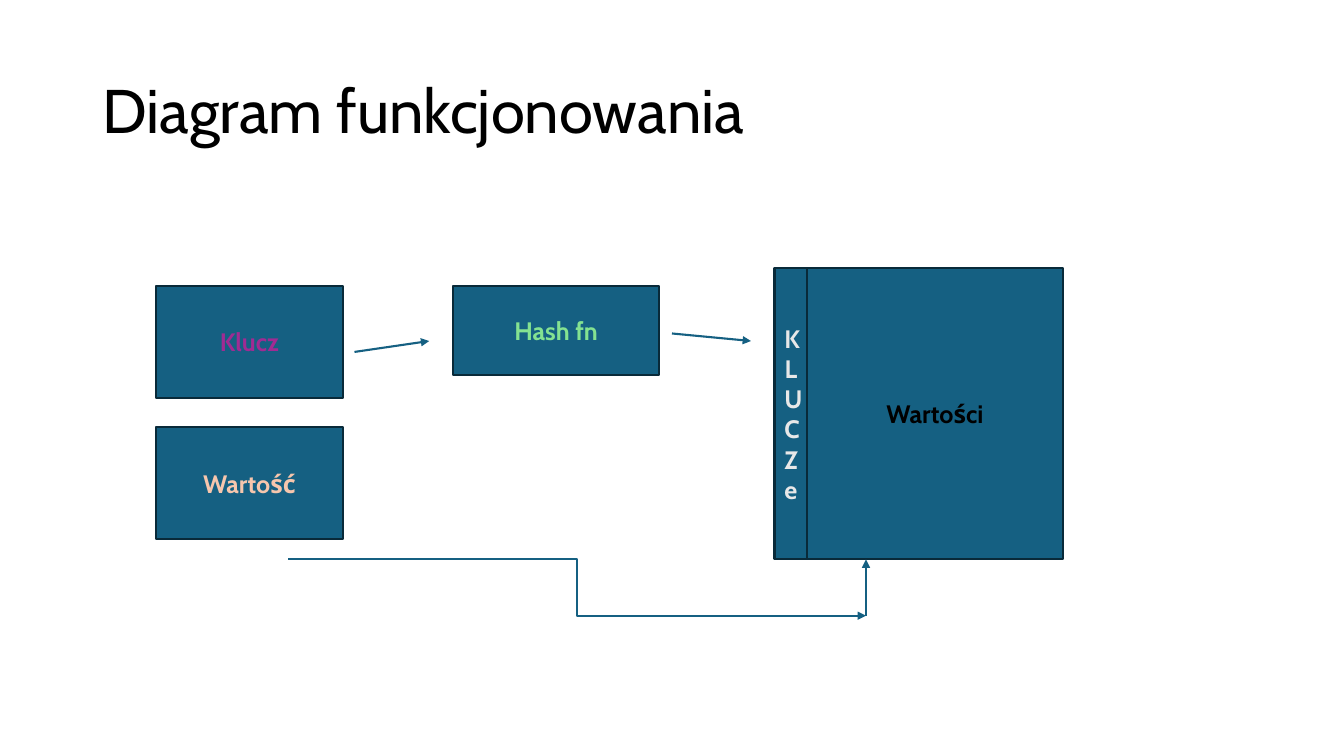
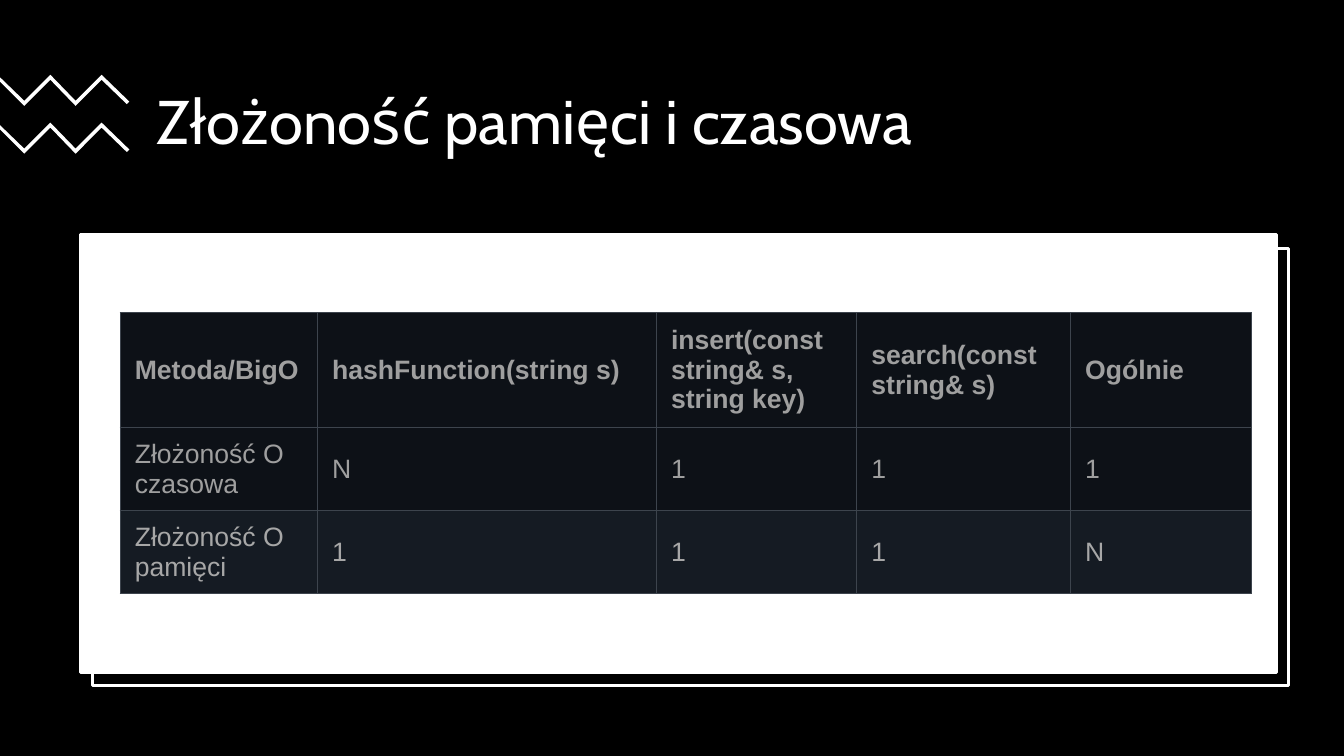
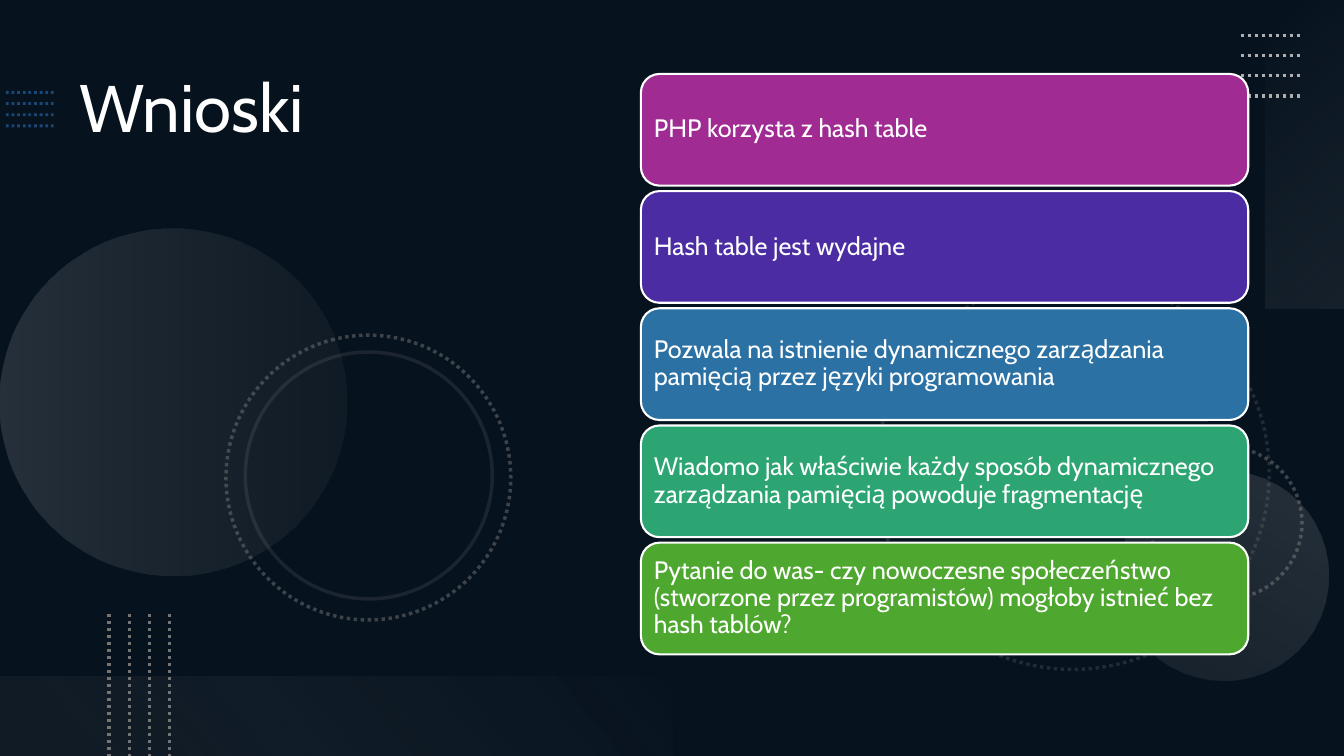
import lxml.etree
import pptx
import pptx.dml.color
import pptx.enum.dml
import pptx.enum.shapes
import pptx.enum.text
import pptx.oxml.ns
import pptx.util

SHAPES = pptx.enum.shapes.MSO_SHAPE
CONNECTORS = pptx.enum.shapes.MSO_CONNECTOR
ANCHORS = pptx.enum.text.MSO_ANCHOR
ALIGNS = pptx.enum.text.PP_ALIGN
DOTTED = pptx.enum.dml.MSO_LINE.ROUND_DOT
qn = pptx.oxml.ns.qn

COLORS = {
    "black": "000000", "white": "FFFFFF", "navy": "0E2841",
    "teal": "156082", "dark teal": "092A39", "plum": "A02B93",
    "peach": "F6C6AD", "lime": "84E291", "pale": "E8E8E8",
    "grid": "3D444D", "header": "0D1117", "stripe": "151B23",
    "cell text": "9F9F9F", "stripe text": "A7A7A7",
    "sky": "2D7FCF", "gray": "747474", "silver": "AEAEAE", "mist": "F6F6F6",
    "violet": "4B2CA2", "blue": "2C71A4", "mint": "2DA573", "green": "4EA72E",
}


def color(name):
    return pptx.dml.color.RGBColor.from_string(COLORS[name])


def child(parent, tag, **attributes):
    return lxml.etree.SubElement(parent, qn(tag), attributes)


def set_alpha(element, percent):
    """Make the first colour inside the element partly transparent."""
    if percent < 100:
        child(element.find(".//" + qn("a:srgbClr")), "a:alpha", val=str(percent * 1000))


class Painter:
    """Draws on the current slide; lengths are cells of a 160 by 90 grid."""
    columns, rows = 160, 90
    font, title_size, body_size = "Cabin", 44, 18

    def __init__(self):
        self.deck = pptx.Presentation()
        self.deck.slide_width = pptx.util.Inches(13.333)
        self.deck.slide_height = pptx.util.Inches(7.5)
        self.page = None

    def new_page(self, background):
        self.page = self.deck.slides.add_slide(self.deck.slide_layouts[6])
        self.page.background.fill.solid()
        self.page.background.fill.fore_color.rgb = color(background)

    def length(self, cells):
        return round(cells * self.deck.slide_height / self.rows)

    def place(self, *cells):
        return [self.length(cell) for cell in cells]

    # Text
    def add_text(self, frame, lines, size, ink, bold=False, font=None,
                 align=ALIGNS.LEFT, spacing=None, tracking=0):
        frame.word_wrap = True
        for index, line in enumerate(lines):
            para = frame.paragraphs[0] if index == 0 else frame.add_paragraph()
            para.alignment = align
            if spacing:
                para.line_spacing = spacing
            span = para.add_run()
            span.text = line
            span.font.name = font or self.font
            span.font.size = pptx.util.Pt(size)
            span.font.bold = bold
            span.font.color.rgb = color(ink)
            if tracking:
                span.font._element.set("spc", str(tracking))

    def title(self, text, at, ink="black", size=title_size, anchor=ANCHORS.MIDDLE):
        box = self.page.shapes.add_textbox(*self.place(*at))
        box.text_frame.vertical_anchor = anchor
        self.add_text(box.text_frame, [text], size, ink, spacing=0.9)

    # Shapes
    def outline(self, line, ink, width, dash=None):
        line.color.rgb = color(ink)
        line.width = pptx.util.Pt(width)
        if dash:
            line.dash_style = dash

    def shape(self, at, fill=None, alpha=100, edge=None, width=1.5, dash=None,
              edge_alpha=100, kind=SHAPES.RECTANGLE, turn=0):
        box = self.page.shapes.add_shape(kind, *self.place(*at))
        box.shadow.inherit = False
        box.rotation = turn
        if fill:
            box.fill.solid()
            box.fill.fore_color.rgb = color(fill)
            set_alpha(box._element.spPr, alpha)
        else:
            box.fill.background()
        if edge:
            self.outline(box.line, edge, width, dash)
            set_alpha(box._element.spPr.find(qn("a:ln")), edge_alpha)
        else:
            box.line.fill.background()
        return box

    def gradient(self, at, stops, angle, **options):
        """Stops are (position, colour, opacity), with shares in percent."""
        box = self.shape(at, **options)
        properties = box._element.spPr
        blend = lxml.etree.Element(qn("a:gradFill"), rotWithShape="1")
        stop_list = child(blend, "a:gsLst")
        for position, ink, alpha in stops:
            stop = child(stop_list, "a:gs", pos=str(position * 1000))
            child(stop, "a:srgbClr", val=COLORS[ink])
            set_alpha(stop, alpha)
        child(blend, "a:lin", ang=str(angle * 60000), scaled="0")
        properties.replace(properties.find(qn("a:noFill")), blend)

    def block(self, at, lines, ink, **options):
        box = self.shape(at, fill="teal", edge="dark teal")
        box.text_frame.vertical_anchor = ANCHORS.MIDDLE
        self.add_text(box.text_frame, lines, self.body_size, ink, bold=True,
                      align=ALIGNS.CENTER, **options)

    def card(self, at, text, fill):
        box = self.shape(at, fill=fill, edge="white", kind=SHAPES.ROUNDED_RECTANGLE)
        frame = box.text_frame
        # The rounded corners add their own inset to the text area
        frame.margin_left = frame.margin_right = self.length(0.9)
        frame.vertical_anchor = ANCHORS.MIDDLE
        self.add_text(frame, [text], self.body_size, "white", spacing=0.9)

    def outline_shape(self, points, fill):
        start, *others = [self.place(*point) for point in points]
        builder = self.page.shapes.build_freeform(*start)
        builder.add_line_segments(others, close=True)
        form = builder.convert_to_shape()
        form.shadow.inherit = False
        form.fill.solid()
        form.fill.fore_color.rgb = color(fill)
        form.line.fill.background()

    # Lines
    def line(self, start, end, ink, width=1.5, dash=None, alpha=100,
             arrow=False, kind=CONNECTORS.STRAIGHT):
        link = self.page.shapes.add_connector(kind, *self.place(*start, *end))
        self.outline(link.line, ink, width, dash)
        properties = link._element.spPr
        stroke = properties.find(qn("a:ln"))
        set_alpha(stroke, alpha)
        if arrow:
            child(stroke, "a:tailEnd", type="triangle")
        child(properties, "a:effectLst")

    def dotted_lines(self, start, end, step, ink, width=2.5, alpha=100, count=4):
        for index in range(count):
            dx, dy = step[0] * index, step[1] * index
            self.line((start[0] + dx, start[1] + dy), (end[0] + dx, end[1] + dy),
                      ink, width, DOTTED, alpha)

    # Table
    def table(self, left, top, widths, heights, content, styles):
        """Each row has a style: fill, ink, bold."""
        frame = self.page.shapes.add_table(
            len(heights), len(widths), *self.place(left, top, sum(widths), sum(heights)))
        grid = frame.table
        grid.first_row = grid.horz_banding = False
        for column, width in zip(grid.columns, widths):
            column.width = self.length(width)
        for row, height, texts, style in zip(grid.rows, heights, content, styles):
            row.height = self.length(height)
            for cell, text in zip(row.cells, texts):
                self.fill_cell(cell, text, *style)

    def fill_cell(self, cell, text, fill, ink, bold):
        cell.margin_left = cell.margin_right = self.length(1.75)
        cell.margin_top = cell.margin_bottom = self.length(0.8)
        cell.vertical_anchor = ANCHORS.MIDDLE
        self.add_text(cell.text_frame, [text], 19, ink, bold, font="Arial")
        properties = cell._tc.get_or_add_tcPr()
        for side in ("a:lnL", "a:lnR", "a:lnT", "a:lnB"):
            border = child(properties, side, w=str(int(pptx.util.Pt(0.83))))
            child(child(border, "a:solidFill"), "a:srgbClr", val=COLORS["grid"])
        cell.fill.solid()
        cell.fill.fore_color.rgb = color(fill)


def diagram_page(painter):
    painter.new_page("white")
    painter.title("Diagram funkcjonowania", (11, 4.8, 138, 17.4))

    # Inputs, hash function and the stored table
    for index, (text, ink) in enumerate([("Klucz", "plum"), ("Wartość", "peach")]):
        painter.block((18.6, 34 + 16.8 * index, 22.2, 13.4), [text], ink)
    painter.block((53.9, 34, 24.6, 10.6), ["Hash fn"], "lime")
    painter.block((92.2, 31.9, 3.9, 34.7), list("KLUCZe"), "pale", tracking=50)
    painter.block((96.1, 31.9, 30.4, 34.7), ["Wartości"], "black")

    # Flow
    turn, target = (103.1, 73.3), (103.1, 66.6)
    for start, end, kind in [
        ((42.2, 41.9), (51.1, 40.6), CONNECTORS.STRAIGHT),
        ((80, 39.7), (89.4, 40.6), CONNECTORS.STRAIGHT),
        ((34.3, 66.6), turn, CONNECTORS.ELBOW),
        (turn, target, CONNECTORS.STRAIGHT),
    ]:
        painter.line(start, end, "teal", arrow=True, kind=kind)


def complexity_page(painter):
    painter.new_page("black")
    painter.title("Złożoność pamięci i czasowa", (17.5, 7.4, 128, 14.8), "white")

    # Zigzags
    zigzag = [(6, 8.9), (9, 12), (12.1, 8.9), (15.4, 12.1), (15.1, 12.4), (12.1, 9.5),
              (9, 12.6), (6, 9.5), (2.9, 12.6), (0, 9.7), (0, 9.2), (2.9, 12)]
    for drop in (0, 5.7):
        painter.outline_shape([(x, y + drop) for x, y in zigzag], "white")

    # Panel with an offset frame
    painter.shape((11, 29.6, 142.4, 52), "black", edge="white", width=2.25)
    painter.shape((9.6, 27.9, 142.4, 52.2), "white", edge="white", width=2.25)

    painter.table(
        14.3, 37.2, [23.5, 40.35, 23.85, 25.45, 21.5], [13.7, 9.9, 9.9],
        [["Metoda/BigO", "hashFunction(string s)", "insert(const string& s, string key)",
          "search(const string& s)", "Ogólnie"],
         ["Złożoność O czasowa", "N", "1", "1", "1"],
         ["Złożoność O pamięci", "1", "1", "1", "N"]],
        [("header", "cell text", True), ("header", "cell text", False),
         ("stripe", "stripe text", False)])


def conclusions_page(painter):
    painter.new_page("navy")
    painter.shape((0, 0, painter.columns, painter.rows), "black", alpha=53)
    painter.dotted_lines((0.7, 11), (6.4, 11), (0, 1.33), "sky", width=2, alpha=50)

    # Rings and discs
    def ring(left, top, size, alpha, dash=DOTTED, turn=75):
        painter.shape((left, top, size, size), edge="gray", width=2.5, dash=dash,
                      edge_alpha=alpha, kind=SHAPES.OVAL, turn=turn)

    def disc(left, top, size, stops, turn):
        painter.gradient((left, top, size, size), stops, 90, kind=SHAPES.OVAL, turn=turn)

    ring(104.3, 32.9, 46.8, 25)
    ring(136.9, 53.2, 18.1, 50, turn=270)
    disc(0, 27.2, 41.3, [(0, "silver", 20), (100, "gray", 10)], 270)
    disc(133.2, 56, 25, [(0, "silver", 10), (100, "silver", 20)], 210)
    ring(26.9, 39.9, 33.9, 50)
    ring(29.2, 41.9, 29.4, 20, dash=None)

    # Corner bands and dots
    painter.gradient((137, 13.7, 36.7, 9.4), [(0, "mist", 0), (100, "silver", 10)],
                     140, turn=270)
    painter.dotted_lines((147.7, 4.2), (154.9, 4.2), (0, 2.4), "silver")
    painter.gradient((0, 80.6, 80, 9.4), [(10, "gray", 10), (100, "mist", 0)],
                     140, turn=180)
    painter.dotted_lines((13, 73.1), (13, 90), (2.4, 0), "gray")

    painter.title("Wnioski", (8.3, 8.3, 64.9, 72.4), "white", 48, ANCHORS.TOP)

    # Conclusions
    cards = [
        ("PHP korzysta z hash table", "plum"),
        ("Hash table jest wydajne", "violet"),
        ("Pozwala na istnienie dynamicznego zarządzania pamięcią przez języki "
         "programowania", "blue"),
        ("Wiadomo jak właściwie każdy sposób dynamicznego zarządzania pamięcią "
         "powoduje fragmentację", "mint"),
        ("Pytanie do was- czy nowoczesne społeczeństwo (stworzone przez programistów) "
         "mogłoby istnieć bez hash tablów?", "green"),
    ]
    for index, (text, fill) in enumerate(cards):
        painter.card((76.3, 8.8 + 13.95 * index, 72.3, 13.3), text, fill)


def main():
    painter = Painter()
    diagram_page(painter)
    complexity_page(painter)
    conclusions_page(painter)
    painter.deck.save("out.pptx")


if __name__ == "__main__":
    main()
